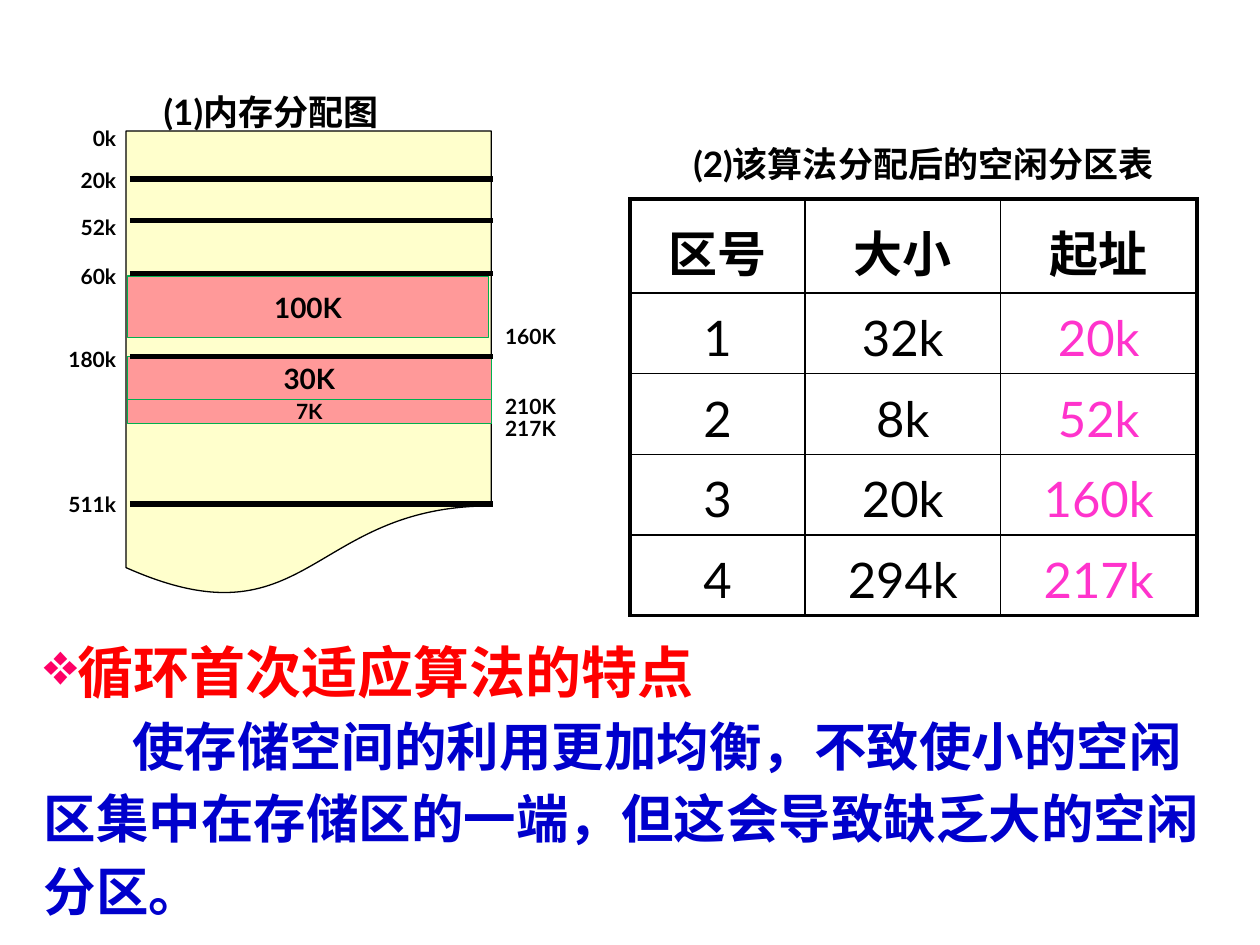
from lxml.etree import SubElement as Sub
from pptx import Presentation
from pptx.dml.color import RGBColor as RGB
from pptx.enum.shapes import MSO_CONNECTOR as Conn, MSO_SHAPE as Shape
from pptx.enum.text import MSO_ANCHOR as Anchor, PP_ALIGN as Align
from pptx.oxml.ns import qn
from pptx.util import Inches, Pt

COLORS = {
    "black": "000000", "cream": "FFFFCC", "rose": "FF9999", "green": "00B050",
    "pink": "FF33CC", "red": "FF0000", "blue": "0000CC", "bullet": "FF0066",
}


def style(para, size, color="black", bold=True, align=Align.LEFT):
    para.alignment = align
    font = para.font
    font.name, font.size, font.bold = "Lato", Pt(size), bold
    font.color.rgb = RGB.from_string(COLORS[color])


def label(x, y, w, h, text, size, align=Align.LEFT):
    box = slide.shapes.add_textbox(Inches(x), Inches(y), Inches(w), Inches(h))
    frame = box.text_frame
    frame.word_wrap = True
    frame.vertical_anchor = Anchor.MIDDLE
    frame.text = text
    style(frame.paragraphs[0], size, align=align)


prs = Presentation()
prs.slide_width, prs.slide_height = Inches(10), Inches(7.5)
slide = prs.slides.add_slide(prs.slide_layouts[6])

# Free partition table
rows = [
    ("区号", "大小", "起址"),
    ("1", "32k", "20k"),
    ("2", "8k", "52k"),
    ("3", "20k", "160k"),
    ("4", "294k", "217k"),
]
frame = slide.shapes.add_table(5, 3, Inches(5), Inches(1.58), Inches(4.5), Inches(3.2))
table = frame.table
table.first_row = table.horz_banding = False
for col, width in zip(table.columns, (1.39, 1.55, 1.56)):
    col.width = Inches(width)
for r, row in enumerate(rows):
    table.rows[r].height = Inches(0.64)
    for c, text in enumerate(row):
        cell = table.cell(r, c)
        cell.text = text
        para = cell.text_frame.paragraphs[0]
        para.line_spacing = 1.15
        color = "pink" if r and c == 2 else "black"
        style(para, 28, color, bold=r == 0, align=Align.CENTER)
        # Thick outer border, thin inner lines
        props = cell._tc.get_or_add_tcPr()
        edges = {"lnL": c == 0, "lnR": c == 2, "lnT": r == 0, "lnB": r == 4}
        for tag, outer in edges.items():
            line = Sub(props, qn("a:" + tag), w=str(Pt(2.25 if outer else 1)))
            fill = Sub(line, qn("a:solidFill"))
            Sub(fill, qn("a:srgbClr"), val=COLORS["black"])
        cell.fill.background()

# Headings
label(4.83, 1.08, 5, 0.43, "(2)该算法分配后的空闲分区表", 20, Align.CENTER)
label(1.2, 0.67, 2.48, 0.43, "(1)内存分配图", 20)

# Memory map and its allocated blocks
blocks = [
    (Shape.FLOWCHART_DOCUMENT, 1, 1.04, 2.9, 3.71, "cream", "black", "", 12),
    (Shape.RECTANGLE, 1.01, 2.19, 2.87, 0.49, "rose", "green", "100K", 16),
    (Shape.RECTANGLE, 1.01, 2.83, 2.89, 0.34, "rose", "green", "30K", 16),
    (Shape.RECTANGLE, 1.01, 3.17, 2.89, 0.19, "rose", "green", "7K", 12),
]
for kind, x, y, w, h, fill, edge, text, size in blocks:
    block = slide.shapes.add_shape(kind, Inches(x), Inches(y), Inches(w), Inches(h))
    block.shadow.inherit = False
    block.fill.solid()
    block.fill.fore_color.rgb = RGB.from_string(COLORS[fill])
    block.line.color.rgb = RGB.from_string(COLORS[edge])
    block.line.width = Pt(0.75)
    if text:
        block.text_frame.word_wrap = False
        block.text_frame.vertical_anchor = Anchor.MIDDLE
        block.text_frame.text = text
        style(block.text_frame.paragraphs[0], size, align=Align.CENTER)

# Partition lines
for y in (1.42, 1.75, 2.17, 2.83, 4):
    line = slide.shapes.add_connector(
        Conn.STRAIGHT, Inches(1.03), Inches(y), Inches(3.91), Inches(y))
    line.line.color.rgb = RGB.from_string(COLORS["black"])
    line.line.width = Pt(3)
    Sub(line._element.spPr, qn("a:effectLst"))

# Addresses, centred on the given heights
starts = [("0k", 1.1), ("20k", 1.43), ("52k", 1.8), ("60k", 2.19),
          ("180k", 2.85), ("511k", 4)]
ends = [("160K", 2.67), ("210K", 3.22), ("217K", 3.4)]
for x, align, marks in ((0.37, Align.RIGHT, starts), (3.91, Align.LEFT, ends)):
    for text, y in marks:
        label(x, y - 0.15, 0.65, 0.3, text, 12, align)

# Features of the algorithm
box = slide.shapes.add_textbox(Inches(0.25), Inches(4.93), Inches(9.43), Inches(2.44))
body = box.text_frame
body.word_wrap = True
head, note = body.paragraphs[0], body.add_paragraph()
head.text = "循环首次适应算法的特点"
note.text = "使存储空间的利用更加均衡，不致使小的空闲区集中在存储区的一端，但这会导致缺乏大的空闲分区。"
head.line_spacing = note.line_spacing = 1.15
props = head._p.get_or_add_pPr()
Sub(Sub(props, qn("a:buClr")), qn("a:srgbClr"), val=COLORS["bullet"])
Sub(props, qn("a:buSzPct"), val="105000")
Sub(props, qn("a:buChar"), char="❖")
note._p.get_or_add_pPr().set("indent", str(Inches(0.7)))
style(head, 32, "red")
style(note, 30, "blue")

prs.save("out.pptx")
